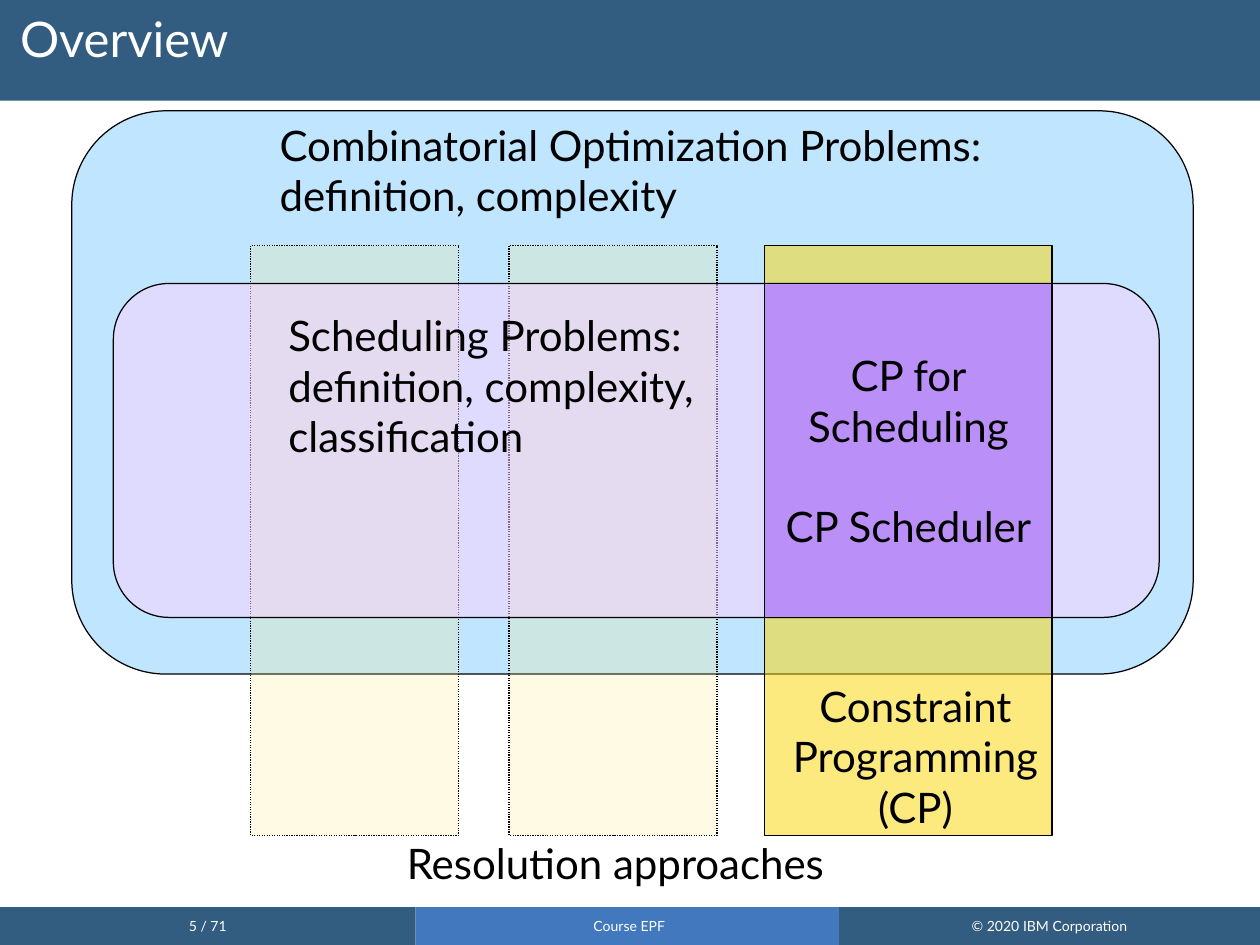
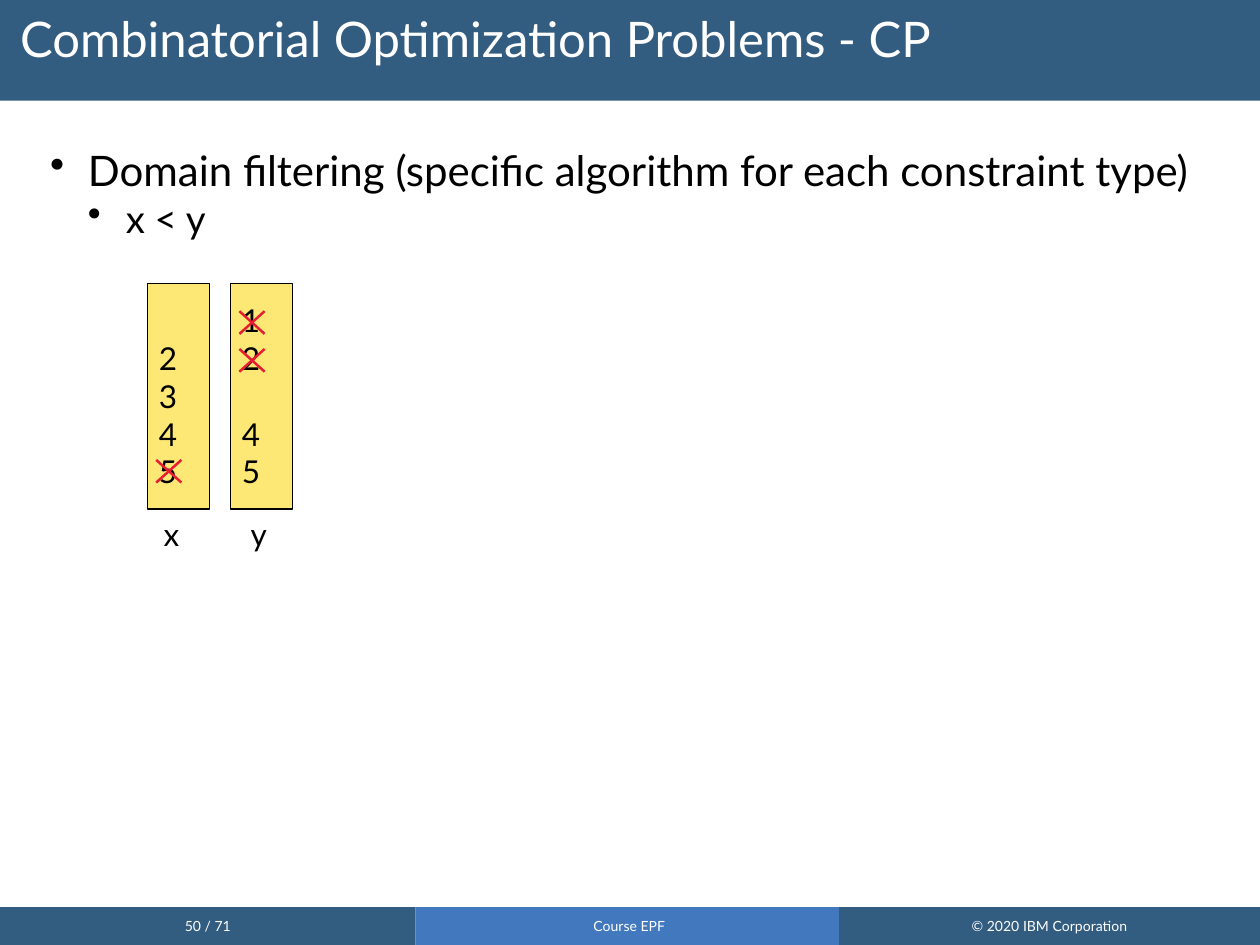
from dataclasses import dataclass
from typing import Optional

from lxml.etree import SubElement
from pptx import Presentation
from pptx.dml.color import RGBColor
from pptx.enum.dml import MSO_LINE
from pptx.enum.shapes import MSO_CONNECTOR, MSO_SHAPE
from pptx.enum.text import MSO_ANCHOR, PP_ALIGN
from pptx.oxml.ns import qn
from pptx.util import Inches, Pt


@dataclass(frozen=True)
class Theme:
    font: str = "Lato"
    band: str = "325C80"
    band_light: str = "4178BE"
    white: str = "FFFFFF"
    ink: str = "000000"
    sky: str = "C0E6FF"
    pale_yellow: str = "FDE876"
    gold: str = "FDD600"
    pink: str = "FFD2FF"
    violet: str = "BA8FF7"
    strike: str = "E71D32"
    title_size: float = 28
    body_size: float = 24
    sub_size: float = 22
    value_size: float = 18
    footer_size: float = 8
    outline: float = 0.71
    strike_width: float = 1.42
    line_factor: float = 1.2


THEME = Theme()


@dataclass(frozen=True)
class Box:
    left: float
    top: float
    width: float
    height: float


@dataclass(frozen=True)
class Region:
    box: Box
    fill: str
    alpha: int = 100
    rounded: bool = False
    dotted: bool = False
    outlined: bool = True


@dataclass(frozen=True)
class Caption:
    box: Box
    lines: tuple[str, ...]
    align: PP_ALIGN = PP_ALIGN.LEFT


@dataclass(frozen=True)
class FooterCell:
    left: float
    width: float
    fill: str
    text: str


@dataclass(frozen=True)
class Domain:
    label: str
    left: float
    label_left: float
    values: tuple[int, ...]
    strike_tops: tuple[float, ...]


def place(box: Box) -> tuple:
    return Inches(box.left), Inches(box.top), Inches(box.width), Inches(box.height)


def add_region(slide, region: Region):
    kind = MSO_SHAPE.ROUNDED_RECTANGLE if region.rounded else MSO_SHAPE.RECTANGLE
    shape = slide.shapes.add_shape(kind, *place(region.box))
    shape.shadow.inherit = False
    shape.fill.solid()
    shape.fill.fore_color.rgb = RGBColor.from_string(region.fill)
    if region.alpha < 100:
        color = shape.element.spPr.find(qn("a:solidFill")).find(qn("a:srgbClr"))
        SubElement(color, qn("a:alpha")).set("val", str(region.alpha * 1000))
    if region.outlined:
        shape.line.color.rgb = RGBColor.from_string(THEME.ink)
        shape.line.width = Pt(THEME.outline)
        if region.dotted:
            shape.line.dash_style = MSO_LINE.ROUND_DOT
    else:
        shape.line.fill.background()
    return shape


def write(shape, lines: tuple[str, ...], size: float, color: str = THEME.ink,
          align: PP_ALIGN = PP_ALIGN.LEFT, wrap: bool = False):
    frame = shape.text_frame
    frame.text = "\n".join(lines)
    frame.word_wrap = wrap
    for paragraph in frame.paragraphs:
        paragraph.alignment = align
        paragraph.font.name = THEME.font
        paragraph.font.size = Pt(size)
        paragraph.font.color.rgb = RGBColor.from_string(color)
    return frame


def add_caption(slide, caption: Caption, size: float = THEME.body_size) -> None:
    write(slide.shapes.add_textbox(*place(caption.box)), caption.lines, size, align=caption.align)


def add_frame(deck, title: str, page: int):
    slide = deck.slides.add_slide(deck.slide_layouts[6])
    add_region(slide, Region(Box(-0.1, -0.1, 10.2, 0.9), THEME.band, outlined=False))
    footer = (
        FooterCell(0, 3.3, THEME.band, f"{page} / 71"),
        FooterCell(3.3, 3.39, THEME.band_light, "Course EPF"),
        FooterCell(6.66, 3.34, THEME.band, "© 2020 IBM Corporation"),
    )
    for cell in footer:
        strip = add_region(slide, Region(Box(cell.left, 7.2, cell.width, 0.3), cell.fill, outlined=False))
        frame = write(strip, (cell.text,), THEME.footer_size, THEME.white, PP_ALIGN.CENTER)
        frame.vertical_anchor = MSO_ANCHOR.MIDDLE
    heading = slide.shapes.add_textbox(*place(Box(0, 0, 10, 0.8)))
    frame = write(heading, (title,), THEME.title_size, THEME.white, wrap=True)
    frame.margin_left = Inches(0.16)
    frame.margin_top = Inches(0.12)
    frame.paragraphs[0].line_spacing = 0.9
    return slide


def add_bullets(slide, box: Box, items: tuple[tuple[str, float], ...]) -> None:
    body = slide.shapes.add_textbox(*place(box))
    frame = body.text_frame
    frame.text = "\n".join(text for text, _ in items)
    frame.word_wrap = True
    for level, (paragraph, (_, size)) in enumerate(zip(frame.paragraphs, items)):
        properties = paragraph._p.get_or_add_pPr()
        properties.set("marL", str(Inches(0.3 * (level + 1))))
        properties.set("indent", str(Inches(-0.3)))
        SubElement(properties, qn("a:buChar")).set("char", "•")
        paragraph.level = level
        paragraph.font.name = THEME.font
        paragraph.font.size = Pt(size)
        paragraph.font.color.rgb = RGBColor.from_string(THEME.ink)


def add_strike(slide, box: Box) -> None:
    cross = slide.shapes.add_group_shape()
    right, bottom = box.left + box.width, box.top + box.height
    for start, end in ((box.top, bottom), (bottom, box.top)):
        stroke = cross.shapes.add_connector(
            MSO_CONNECTOR.STRAIGHT, Inches(box.left), Inches(start), Inches(right), Inches(end))
        stroke.line.color.rgb = RGBColor.from_string(THEME.strike)
        stroke.line.width = Pt(THEME.strike_width)
        SubElement(stroke.element.spPr, qn("a:effectLst"))


def add_domain(slide, domain: Domain) -> None:
    column = add_region(slide, Region(Box(domain.left, 2.25, 0.49, 1.79), THEME.pale_yellow))
    frame = write(column, tuple(map(str, domain.values)), THEME.value_size, wrap=True)
    frame.vertical_anchor = MSO_ANCHOR.BOTTOM
    frame.margin_left = frame.margin_right = Inches(0.09)
    frame.margin_top = Inches(0.04)
    frame.margin_bottom = Inches(0.15)
    steps = zip(frame.paragraphs[1:], domain.values, domain.values[1:])
    for paragraph, previous, value in steps:
        missing = value - previous - 1
        if missing:
            paragraph.space_before = Pt(missing * THEME.value_size * THEME.line_factor)
    add_caption(slide, Caption(Box(domain.label_left, 4.04, 0.33, 0.4), (domain.label,)), THEME.value_size)
    for top in domain.strike_tops:
        add_strike(slide, Box(domain.left + 0.07, top, 0.2, 0.18))


def build_overview(deck) -> None:
    slide = add_frame(deck, "Overview", 5)
    approach_top, approach_height = 1.95, 4.68
    cp_left, cp_width = 6.07, 2.28
    scheduling_top, scheduling_height = 2.25, 2.65

    add_region(slide, Region(Box(0.57, 0.88, 8.9, 4.47), THEME.sky, rounded=True))
    for left in (1.99, 4.04):
        add_region(slide, Region(Box(left, approach_top, 1.65, approach_height),
                                 THEME.pale_yellow, alpha=20, dotted=True))
    add_region(slide, Region(Box(cp_left, approach_top, cp_width, approach_height), THEME.gold, alpha=50))
    add_caption(slide, Caption(Box(3.13, 6.6, 3.78, 0.5), ("Resolution approaches",)))
    add_caption(slide, Caption(Box(cp_left, 5.35, 2.39, 1.3),
                               ("Constraint", "Programming", "(CP)"), PP_ALIGN.CENTER))
    add_region(slide, Region(Box(0.9, scheduling_top, 8.3, scheduling_height),
                             THEME.pink, alpha=50, rounded=True))
    add_caption(slide, Caption(Box(2.19, 2.41, 3.67, 1.3),
                               ("Scheduling Problems:", "definition, complexity,", "classification")))
    add_caption(slide, Caption(Box(2.12, 0.9, 6.21, 0.9),
                               ("Combinatorial Optimization Problems:", "definition, complexity")))
    overlap = add_region(slide, Region(Box(cp_left, scheduling_top, cp_width, scheduling_height), THEME.violet))
    frame = write(overlap, ("CP for", "Scheduling", "CP Scheduler"),
                  THEME.body_size, align=PP_ALIGN.CENTER)
    frame.vertical_anchor = MSO_ANCHOR.MIDDLE
    frame.paragraphs[2].space_before = Pt(THEME.body_size * THEME.line_factor)


def build_filtering(deck) -> None:
    slide = add_frame(deck, "Combinatorial Optimization Problems - CP", 50)
    add_bullets(slide, Box(0.3, 1.1, 9.7, 5.9), (
        ("Domain filtering (specific algorithm for each constraint type)", THEME.body_size),
        ("x < y", THEME.sub_size),
    ))
    domains = (
        Domain("x", 1.17, 1.2, (2, 3, 4, 5), (3.65,)),
        Domain("y", 1.83, 1.89, (1, 2, 4, 5), (2.47, 2.77)),
    )
    for domain in domains:
        add_domain(slide, domain)


def main() -> None:
    deck = Presentation()
    deck.slide_width = Inches(10)
    deck.slide_height = Inches(7.5)
    build_overview(deck)
    build_filtering(deck)
    deck.save("out.pptx")


if __name__ == "__main__":
    main()
